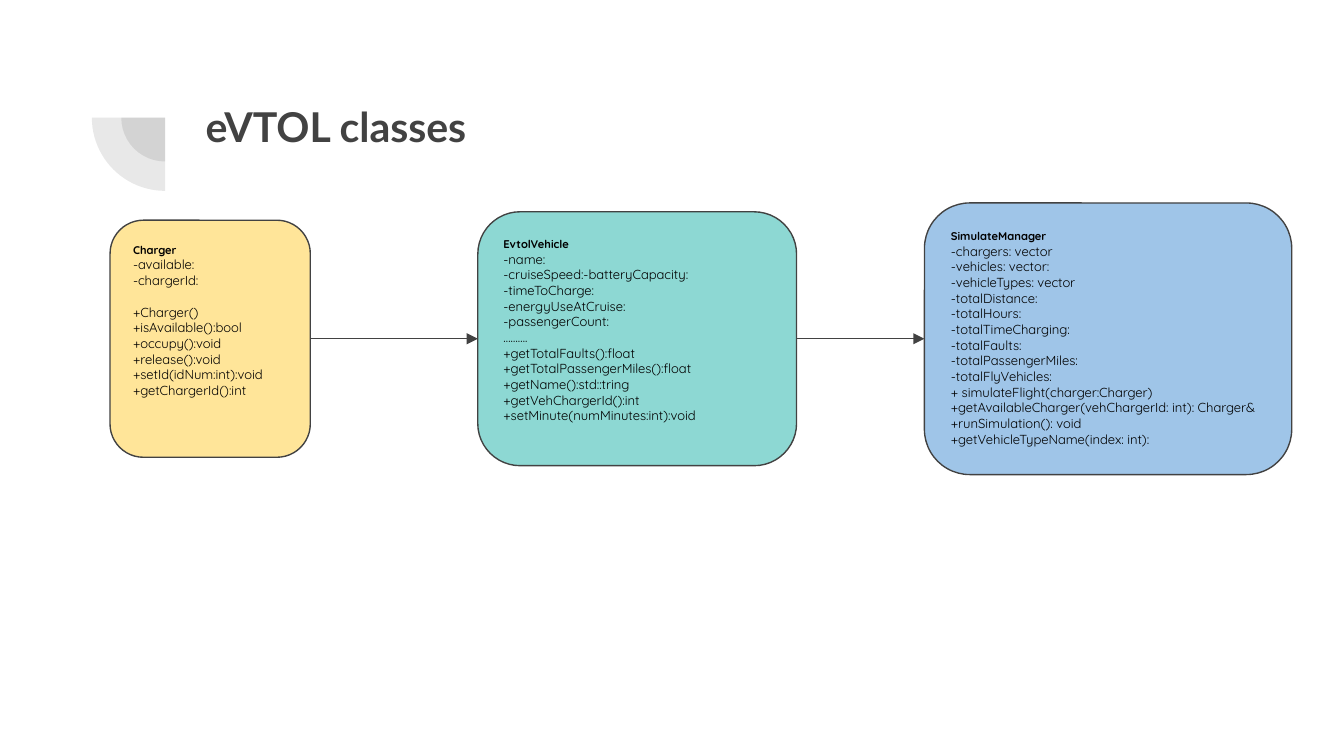
from lxml.etree import SubElement
from pptx import Presentation
from pptx.dml.color import RGBColor
from pptx.enum.shapes import MSO_CONNECTOR, MSO_SHAPE
from pptx.enum.text import MSO_ANCHOR, MSO_AUTO_SIZE, PP_ALIGN
from pptx.oxml.ns import qn
from pptx.util import Pt

COLORS = {
    "ink": "424242",
    "text": "000000",
    "charger": "FFE599",
    "vehicle": "8DD8D3",
    "manager": "9FC5E8",
}
LEFT, RIGHT = 1, 3  # connection sites
MIDLINE = 181.5     # shared vertical centre of the class boxes
MEMBER_GAP = 8.5    # one member line, between attributes and methods

# Class, colour, left, width, height, attributes, methods, gap before methods
CLASSES = [
    ("Charger", "charger", 59, 107.25, 127,
     ["-available:", "-chargerId:"],
     ["+Charger()", "+isAvailable():bool", "+occupy():void", "+release():void",
      "+setId(idNum:int):void", "+getChargerId():int"], MEMBER_GAP),
    ("EvtolVehicle", "vehicle", 256, 170.75, 136,
     ["-name:", "-cruiseSpeed:-batteryCapacity:", "-timeToCharge:",
      "-energyUseAtCruise:", "-passengerCount:", "……….",],
     ["+getTotalFaults():float", "+getTotalPassengerMiles():float",
      "+getName():std::tring", "+getVehChargerId():int",
      "+setMinute(numMinutes:int):void"], 0),
    ("SimulateManager", "manager", 495.25, 196.75, 145.5,
     ["-chargers: vector", "-vehicles: vector:", "-vehicleTypes: vector",
      "-totalDistance:", "-totalHours:", "-totalTimeCharging:",
      "-totalFaults:", "-totalPassengerMiles:", "-totalFlyVehicles:"],
     ["+ simulateFlight(charger:Charger)",
      "+getAvailableCharger(vehChargerId: int): Charger&",
      "+runSimulation(): void", "+getVehicleTypeName(index: int):"], 0),
]


def color(name):
    return RGBColor.from_string(COLORS[name])


def write(paragraph, text, *, font="Quicksand", size=7, bold=False,
          ink="text", before=0):
    paragraph.alignment = PP_ALIGN.LEFT
    paragraph.space_before = Pt(before)
    run = paragraph.add_run()
    run.text = text
    run.font.name = font
    run.font.size = Pt(size)
    run.font.bold = bold
    run.font.color.rgb = color(ink)


def set_frame(frame):
    frame.auto_size = MSO_AUTO_SIZE.NONE
    frame.word_wrap = True
    frame.vertical_anchor = MSO_ANCHOR.TOP
    frame.margin_left = frame.margin_right = Pt(7.2)
    frame.margin_top = frame.margin_bottom = Pt(7.2)


def add_header(slide, left, top, width, height):
    # Nested translucent quarter discs around one corner
    corner_x, corner_y = left + 39.5, top + 16
    for diameter in (47, 78.5):
        disc = slide.shapes.add_shape(
            MSO_SHAPE.PIE, Pt(corner_x - diameter / 2),
            Pt(corner_y - diameter / 2), Pt(diameter), Pt(diameter))
        disc.adjustments[0], disc.adjustments[1] = 108, 162
        disc.rotation = 270
        disc.shadow.inherit = False
        disc.fill.solid()
        disc.fill.fore_color.rgb = color("ink")
        solid = disc.fill._xPr.find(qn("a:solidFill"))
        SubElement(solid[0], qn("a:alpha"), val="12000")
        disc.line.fill.background()

    title = slide.shapes.title
    title.left, title.top = Pt(left + 54), Pt(top)
    title.width, title.height = Pt(width - 54), Pt(height)
    set_frame(title.text_frame)
    write(title.text_frame.paragraphs[0], "eVTOL classes",
          font="Lato", size=22, bold=True, ink="ink")


def add_class(slide, left, top, width, height, name, fill,
              attributes, methods, gap):
    box = slide.shapes.add_shape(MSO_SHAPE.ROUNDED_RECTANGLE, Pt(left),
                                 Pt(top), Pt(width), Pt(height))
    box.shadow.inherit = False
    box.fill.solid()
    box.fill.fore_color.rgb = color(fill)
    box.line.color.rgb = color("ink")
    box.line.width = Pt(0.75)
    frame = box.text_frame
    set_frame(frame)
    write(frame.paragraphs[0], name, size=6, bold=True)
    for attribute in attributes:
        write(frame.add_paragraph(), attribute)
    for index, method in enumerate(methods):
        write(frame.add_paragraph(), method, before=0 if index else gap)
    return box


def add_arrow(slide, source, target):
    arrow = slide.shapes.add_connector(MSO_CONNECTOR.STRAIGHT, 0, 0, 0, 0)
    arrow.begin_connect(source, RIGHT)
    arrow.end_connect(target, LEFT)
    arrow.line.color.rgb = color("ink")
    arrow.line.width = Pt(0.75)
    SubElement(arrow.line._get_or_add_ln(), qn("a:tailEnd"), type="triangle")
    SubElement(arrow._element.spPr, qn("a:effectLst"))


def main():
    deck = Presentation()
    deck.slide_width, deck.slide_height = Pt(720), Pt(405)
    slide = deck.slides.add_slide(deck.slide_layouts[5])

    add_header(slide, 49, 47, 307.5, 46)

    # Class boxes, linked from left to right
    boxes = [add_class(slide, left, MIDLINE - height / 2, width, height,
                       name, fill, attributes, methods, gap)
             for name, fill, left, width, height, attributes, methods, gap
             in CLASSES]
    for source, target in zip(boxes, boxes[1:]):
        add_arrow(slide, source, target)

    deck.save("out.pptx")


if __name__ == "__main__":
    main()
